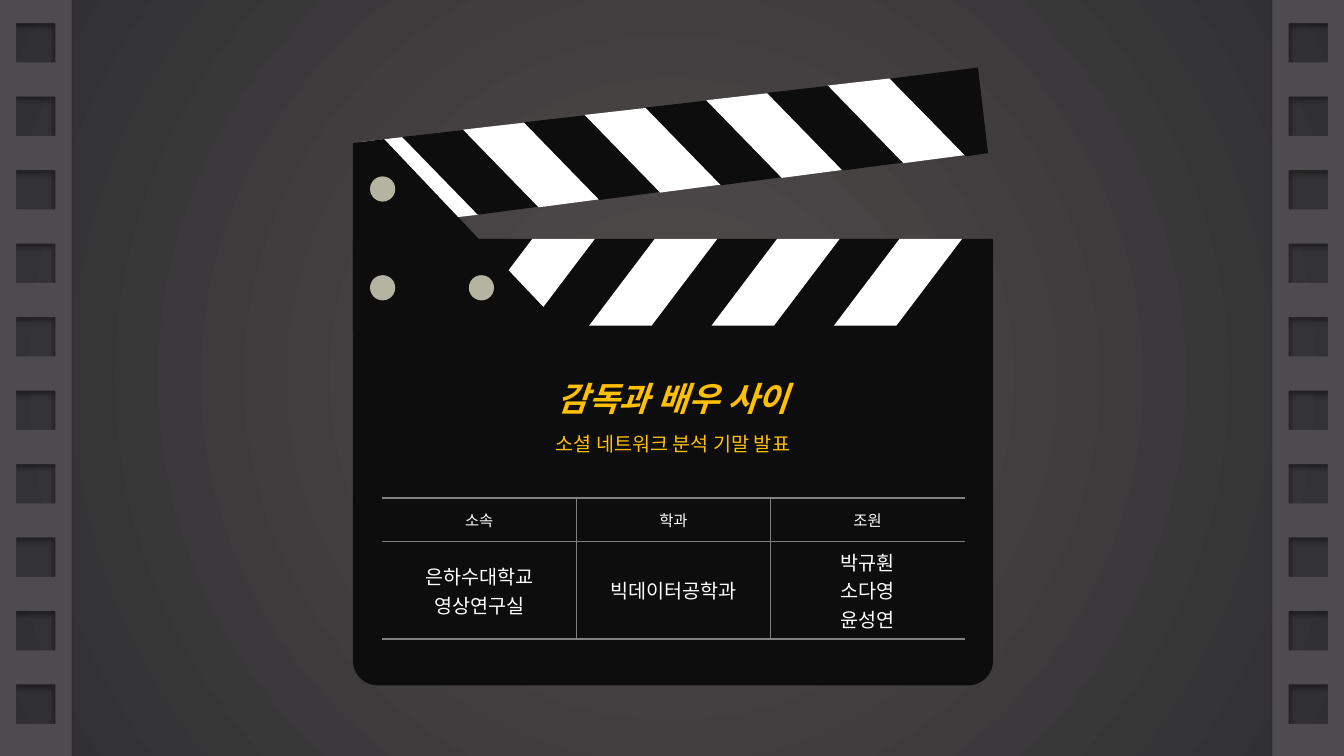
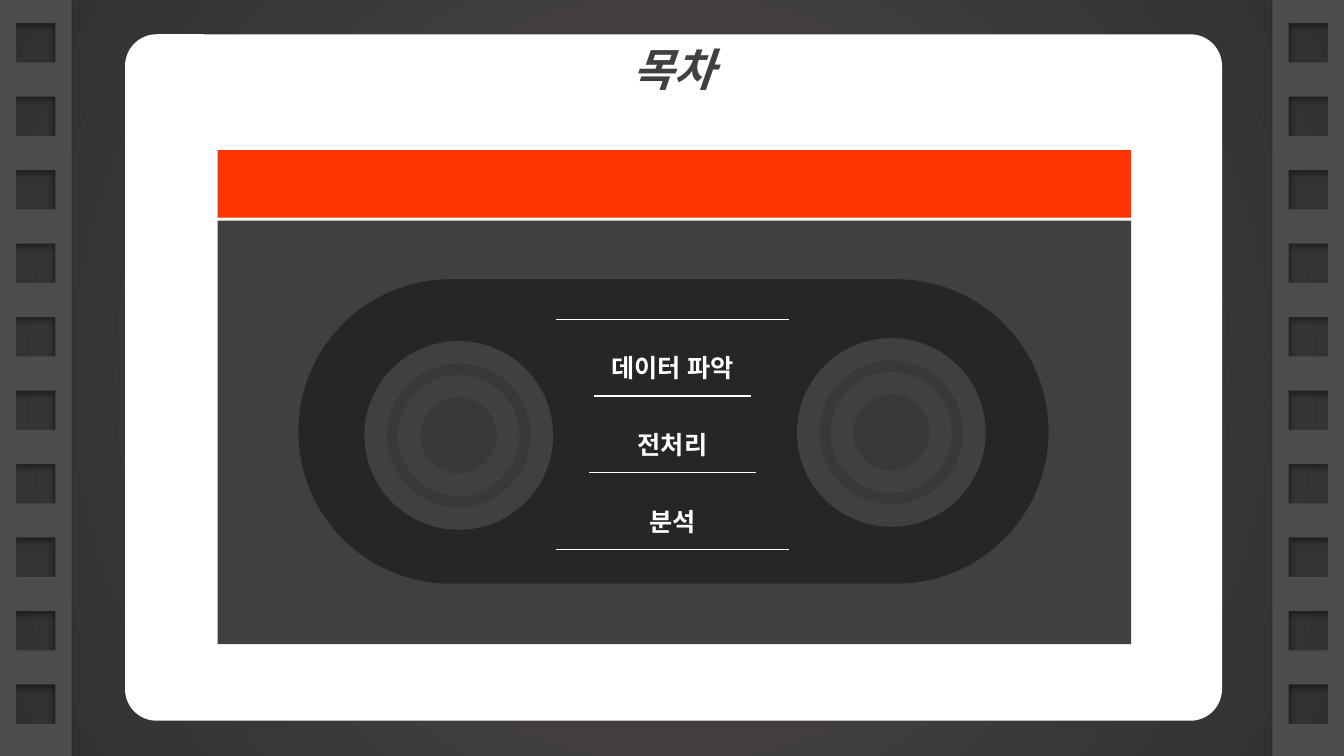
from lxml import etree
from pptx import Presentation
from pptx.dml.color import RGBColor
from pptx.enum.shapes import MSO_CONNECTOR, MSO_SHAPE
from pptx.enum.text import MSO_ANCHOR, MSO_AUTO_SIZE, PP_ALIGN
from pptx.oxml import parse_xml
from pptx.oxml.ns import nsdecls, qn
from pptx.util import Inches, Pt

RECT = MSO_SHAPE.RECTANGLE
ROUND_RECT = MSO_SHAPE.ROUNDED_RECTANGLE
ROUND_BOTTOM = MSO_SHAPE.ROUND_2_SAME_RECTANGLE
OVAL = MSO_SHAPE.OVAL
STRAIGHT = MSO_CONNECTOR.STRAIGHT
TOP, MIDDLE = MSO_ANCHOR.TOP, MSO_ANCHOR.MIDDLE
CENTER = PP_ALIGN.CENTER
NO_AUTOFIT = MSO_AUTO_SIZE.NONE

KOREAN, LATIN = "Noto Sans CJK KR", "Arial"
WHITE, BLACK, GOLD = "FFFFFF", "0D0D0D", "FFC000"
CHARCOAL, DARK, REEL = "404040", "262626", "3B3838"
FILM, RIVET, LABEL, RULE = "4D4B4E", "B5B4A0", "FF3300", "808080"
GLOW, EDGE = "524C4C", "2F2F31"
SLIDE_W, SLIDE_H = 13.33, 7.5
STRIP_W = 0.71


def rgb(value):
    return RGBColor.from_string(value)


def write_text(frame, text, size=14, color=WHITE, font=KOREAN, bold=False,
               italic=False, spacing=1.0, anchor=TOP):
    frame.word_wrap = True
    frame.vertical_anchor = anchor
    for number, line in enumerate(text.split("\n")):
        paragraph = frame.add_paragraph() if number else frame.paragraphs[0]
        paragraph.alignment = CENTER
        paragraph.line_spacing = spacing
        run = paragraph.add_run()
        run.text = line
        run.font.size = Pt(size)
        run.font.name = font
        run.font.bold = bold
        run.font.italic = italic
        run.font.color.rgb = rgb(color)


def add_text(slide, box, text, **style):
    holder = slide.shapes.add_textbox(*map(Inches, box))
    write_text(holder.text_frame, text, **style)


def set_title(slide, box, text, **style):
    title = slide.shapes.title
    title.left, title.top, title.width, title.height = map(Inches, box)
    frame = title.text_frame
    frame.auto_size = NO_AUTOFIT
    frame.margin_top = frame.margin_bottom = 0
    write_text(frame, text, bold=True, italic=True, **style)
    title.element.getparent().append(title.element)


def paint(shape, fill, line=None, weight=0):
    shape.shadow.inherit = False
    shape.fill.solid()
    shape.fill.fore_color.rgb = rgb(fill)
    if line:
        shape.line.color.rgb = rgb(line)
        shape.line.width = Pt(weight)
    else:
        shape.line.fill.background()


def add_block(slide, kind, box, fill, adjustments=(), **outline):
    block = slide.shapes.add_shape(kind, *map(Inches, box))
    for number, value in enumerate(adjustments):
        block.adjustments[number] = value
    paint(block, fill, **outline)


def add_outline(slide, contours, fill):
    contours = [[(Inches(x), Inches(y)) for x, y in contour]
                for contour in contours]
    builder = slide.shapes.build_freeform(*contours[0][0], scale=1.0)
    for number, contour in enumerate(contours):
        if number:
            builder.move_to(*contour[0])
        builder.add_line_segments(contour[1:], close=True)
    outline = builder.convert_to_shape()
    paint(outline, fill)
    return outline


def add_rule(slide, center, y, width):
    rule = slide.shapes.add_connector(
        STRAIGHT, Inches(center - width / 2), Inches(y),
        Inches(center + width / 2), Inches(y))
    rule.line.color.rgb = rgb(WHITE)
    rule.line.width = Pt(1)
    etree.SubElement(rule.element.spPr, qn("a:effectLst"))


def corners(x, y, width, height):
    return [(x, y), (x + width, y), (x + width, y + height), (x, y + height)]


def add_film_strip(slide, left, shadow_angle):
    holes = [corners(left + 0.16, 0.23 + 0.729 * row, 0.39, 0.39)
             for row in range(10)]
    strip = add_outline(
        slide, holes + [corners(left, 0, STRIP_W, SLIDE_H)], FILM)
    effects = strip.element.spPr.find(qn("a:effectLst"))
    effects.append(parse_xml(
        f'<a:outerShdw {nsdecls("a")} blurRad="{Pt(4)}" dist="{Pt(3)}" '
        f'dir="{shadow_angle * 60000}" algn="ctr" rotWithShape="0">'
        '<a:srgbClr val="000000"><a:alpha val="40000"/></a:srgbClr>'
        '</a:outerShdw>'))


def add_film_strips(slide):
    add_film_strip(slide, 0, 135)
    add_film_strip(slide, SLIDE_W - STRIP_W, 45)


def set_background(master):
    fill = master.background.fill
    fill.gradient()
    for stop, color in zip(fill.gradient_stops, (GLOW, EDGE)):
        stop.color.rgb = rgb(color)
    for position, stop in enumerate(fill.gradient_stops):
        stop.position = position
    gradient = master.element.find(".//" + qn("a:gradFill"))
    direction = gradient.find(qn("a:lin"))
    gradient.replace(direction, parse_xml(
        f'<a:path {nsdecls("a")} path="circle">'
        '<a:fillToRect l="50000" t="50000" r="50000" b="50000"/></a:path>'))


def set_borders(cell_xml, visible):
    properties = cell_xml.get_or_add_tcPr()
    for position, side in enumerate("LRTB"):
        fill = (f'<a:solidFill><a:srgbClr val="{RULE}"/></a:solidFill>'
                if side in visible else "<a:noFill/>")
        properties.insert(position, parse_xml(
            f'<a:ln{side} {nsdecls("a")} w="{Pt(1)}">{fill}</a:ln{side}>'))


def add_credits(slide, box, rows, heights, sizes):
    frame = slide.shapes.add_table(len(rows), len(rows[0]), *map(Inches, box))
    credits = frame.table
    credits.first_row = credits.horz_banding = False
    for row, height in zip(credits.rows, heights):
        row.height = Inches(height)
    for row, texts in enumerate(rows):
        for column, text in enumerate(texts):
            cell = credits.cell(row, column)
            cell.fill.background()
            cell.vertical_anchor = MIDDLE
            write_text(cell.text_frame, text, size=sizes[row], anchor=None)
    last = len(rows[0]) - 1
    for number, cell_xml in enumerate(frame.element.iter(qn("a:tc"))):
        column = number % len(rows[0])
        set_borders(cell_xml, "TB" + "L" * (column > 0) + "R" * (column < last))


def add_clapper(slide):
    add_block(slide, ROUND_BOTTOM, (3.5, 2.37, 6.35, 4.43), BLACK, (0, 0.056))
    for number in range(4):
        x = 4.63 + 1.214 * number
        add_outline(slide, [[(x, 3.23), (x + 0.65, 2.37), (x + 1.27, 2.37),
                             (x + 0.62, 3.23)]], WHITE)
    add_outline(slide, [[(4, 1.36), (3.57, 1.41), (4.14, 2.2), (4.75, 2.13)]],
                WHITE)
    for number in range(8):
        x, y = 3.99 + 0.603 * number, 1.36 - 0.073 * number
        add_outline(slide, [[(x + 0.61, y - 0.07), (x, y), (x + 0.75, y + 0.77),
                             (x + 1.36, y + 0.69)]],
                    WHITE if number % 2 else BLACK)
    add_outline(slide, [[(9.7, 0.67), (8.83, 0.78), (9.58, 1.55), (9.8, 1.52)]],
                BLACK)
    add_outline(slide, [[(5.63, 3.3), (3.5, 3.3), (3.5, 1.42), (3.81, 1.38)]],
                BLACK)
    for x, y in ((3.67, 1.75), (3.67, 2.73), (4.65, 2.73)):
        add_block(slide, OVAL, (x, y, 0.25, 0.25), RIVET)


def add_reel(slide, x, y):
    for size in (1.65, 0.98):
        add_block(slide, OVAL, (x - size / 2, y - size / 2, size, size), REEL,
                  line=CHARCOAL, weight=16)


def add_cassette(slide):
    add_block(slide, RECT, (2.16, 2.19, 9.06, 4.2), CHARCOAL)
    add_block(slide, ROUND_RECT, (2.96, 2.77, 7.44, 3.02), DARK, (0.5,))
    add_reel(slide, 8.84, 4.29)
    add_reel(slide, 4.55, 4.32)
    add_block(slide, RECT, (2.16, 1.49, 9.06, 0.67), LABEL)


def build_cover(slide):
    add_film_strips(slide)
    add_clapper(slide)
    set_title(slide, (3.5, 3.75, 6.35, 0.5), "감독과 배우 사이", size=24,
              color=GOLD)
    add_text(slide, (3.5, 4.24, 6.35, 0.4), "소셜 네트워크 분석 기말 발표",
             color=GOLD)
    add_credits(slide, (3.79, 4.94, 5.78, 1.4),
                [("소속", "학과", "조원"),
                 ("은하수대학교\n영상연구실", "빅데이터공학과",
                  "박규훤\n소다영\n윤성연")],
                heights=(0.43, 0.97), sizes=(11, 14))


def build_contents(slide):
    add_block(slide, ROUND_RECT, (1.24, 0.34, 10.88, 6.81), WHITE, (0.046,))
    add_film_strips(slide)
    add_cassette(slide)
    set_title(slide, (1.24, 0.41, 10.88, 0.7), "목차", size=32, color=CHARCOAL)
    center, step = 6.67, 0.76
    for number, topic in enumerate(("데이터 파악", "전처리", "분석")):
        add_text(slide, (center - 1.48, 3.3 + step * number, 2.96, 0.5), topic,
                 size=18, font=LATIN, bold=True, spacing=1.5)
    for number, width in enumerate((2.31, 1.55, 1.65, 2.31)):
        add_rule(slide, center, 3.17 + step * number, width)


def use_fonts_for_korean(slide):
    for latin in list(slide.element.iter(qn("a:latin"))):
        east_asian = etree.Element(qn("a:ea"), typeface=latin.get("typeface"))
        latin.addnext(east_asian)


def main():
    deck = Presentation()
    deck.slide_width, deck.slide_height = Inches(SLIDE_W), Inches(SLIDE_H)
    set_background(deck.slide_master)
    title_only = deck.slide_layouts[5]
    for build in (build_cover, build_contents):
        slide = deck.slides.add_slide(title_only)
        build(slide)
        use_fonts_for_korean(slide)
    deck.save("out.pptx")


if __name__ == "__main__":
    main()
